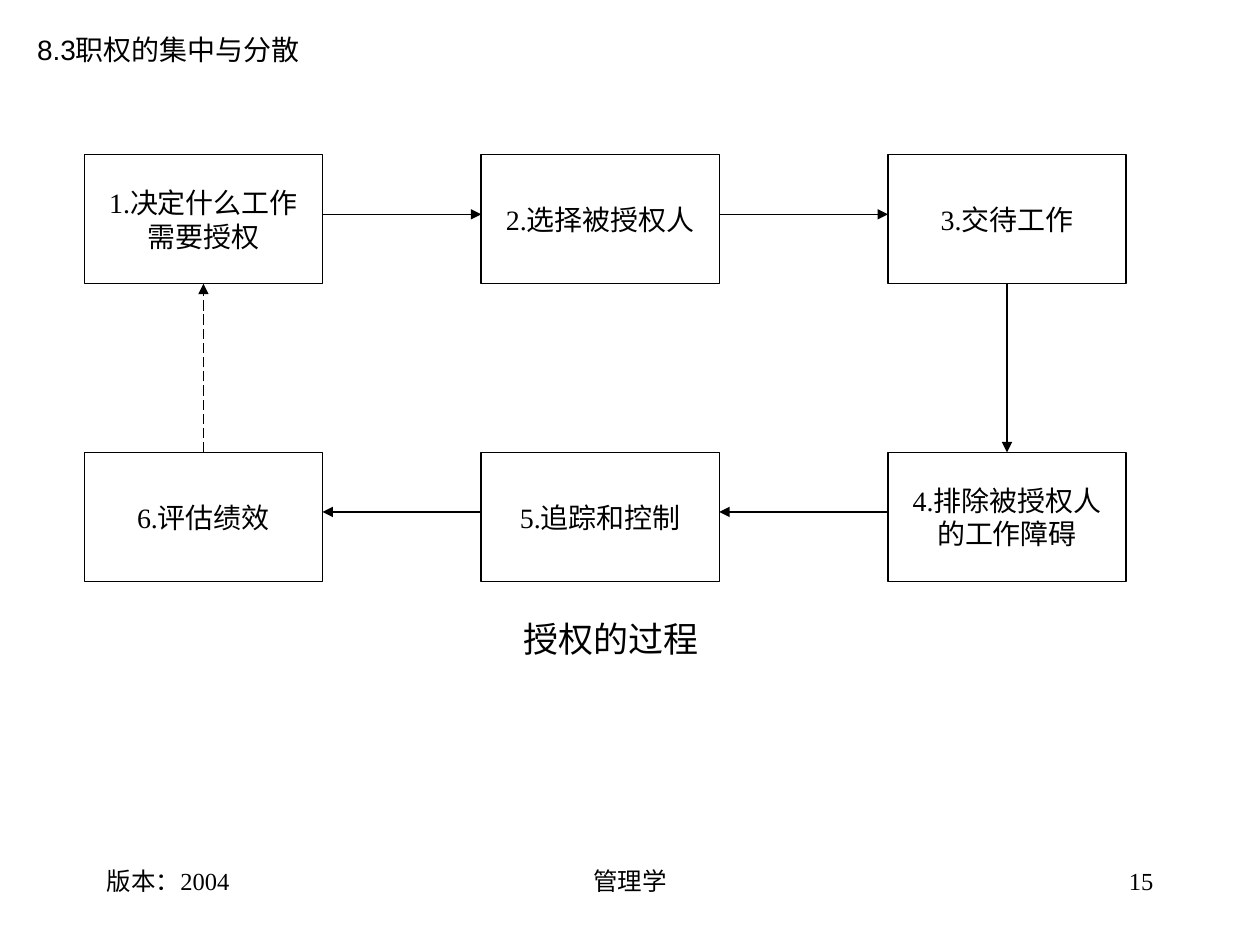
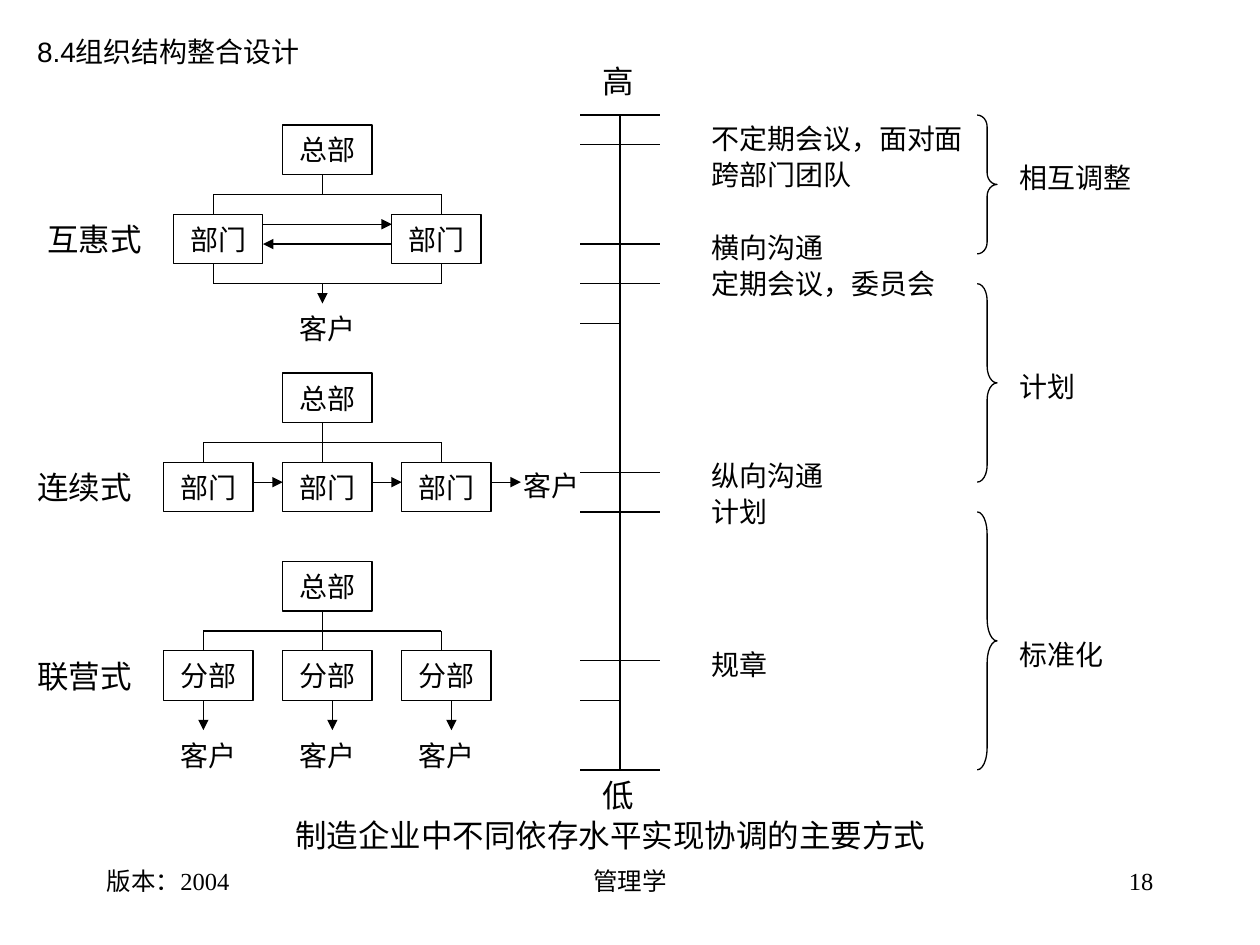
"""Build two management-course slides: the delegation process and coordination by level of dependence."""
from itertools import pairwise

from lxml.etree import SubElement
from pptx import Presentation
from pptx.dml.color import RGBColor
from pptx.enum.dml import MSO_LINE
from pptx.enum.shapes import MSO_CONNECTOR, MSO_SHAPE
from pptx.enum.text import MSO_ANCHOR, PP_ALIGN
from pptx.oxml.ns import qn
from pptx.util import Inches, Pt

COLORS = {name: RGBColor.from_string(code) for name, code in {"ink": "000000", "paper": "FFFFFF"}.items()}
SANS, SERIF = "Arial", "Times New Roman"
LEFT, CENTER, RIGHT = PP_ALIGN.LEFT, PP_ALIGN.CENTER, PP_ALIGN.RIGHT

deck = Presentation()
deck.slide_width, deck.slide_height = Inches(10), Inches(7.5)
UNIT = deck.slide_width / 127
ORIGIN_X, ORIGIN_Y = 0.5, 0.6


def add_box(page, at, lines=(), size=16, font=SANS, align=LEFT, kind=None, fill=None, edge="ink"):
    """Place text, or a preset shape with centred text, at (column, row, width, height)."""
    column, row, width, height = at
    area = [int(UNIT * n) for n in (column + ORIGIN_X, row + ORIGIN_Y, width, height)]
    if kind is None:
        box = page.shapes.add_textbox(*area)
    else:
        box = page.shapes.add_shape(kind, *area)
        box.shadow.inherit = False
        box.line.color.rgb = COLORS[edge]
        box.line.width = Pt(0.75)
        if fill:
            box.fill.solid()
            box.fill.fore_color.rgb = COLORS[fill]
        else:
            box.fill.background()
    frame = box.text_frame
    frame.word_wrap = kind is None
    frame.vertical_anchor = MSO_ANCHOR.TOP if kind is None else MSO_ANCHOR.MIDDLE
    for index, line in enumerate(lines):
        para = frame.add_paragraph() if index else frame.paragraphs[0]
        para.alignment = align if kind is None else CENTER
        if index and kind is None:
            para.space_before = Pt(1.6)
        span = para.add_run()
        span.text = line
        for name, value in {"size": Pt(size), "name": font}.items():
            setattr(span.font, name, value)
        span.font.color.rgb = COLORS["ink"]
    return box


def add_line(page, x1, y1, x2, y2, arrow=False, dash=None):
    """Draw a straight line between two grid points."""
    ends = [int(UNIT * n) for n in (x1 + ORIGIN_X, y1 + ORIGIN_Y, x2 + ORIGIN_X, y2 + ORIGIN_Y)]
    connector = page.shapes.add_connector(MSO_CONNECTOR.STRAIGHT, *ends)
    connector.line.color.rgb = COLORS["ink"]
    for name, value in {"width": Pt(0.75), "dash_style": dash}.items():
        setattr(connector.line, name, value)
    properties = connector._element.spPr
    if arrow:
        SubElement(properties.find(qn("a:ln")), qn("a:tailEnd"), type="triangle")
    SubElement(properties, qn("a:effectLst"))


pages = []
for title, title_row, number in (("8.3职权的集中与分散", 2.1, "15"), ("8.4组织结构整合设计", 2.3, "18")):
    page = deck.slides.add_slide(deck.slide_layouts[6])
    pages.append(page)
    add_box(page, (2, title_row, 29, 4.7), [title])
    for column, width, text, align in ((9, 26.5, "版本：2004", LEFT), (43, 40, "管理学", CENTER), (90.5, 26.5, number, RIGHT)):
        add_box(page, (column, 86.1, width, 6.4), [text], 14, SERIF, align)
process, coordination = pages

STEP_COLUMNS, STEP_ROWS = (8, 48, 89), (15, 45)
STEP_WIDTH, STEP_HEIGHT = 24, 13
steps = (
    ("1.决定什么工作", "需要授权"), ("2.选择被授权人",), ("3.交待工作",),
    ("4.排除被授权人", "的工作障碍"), ("5.追踪和控制",), ("6.评估绩效",),
)
spots = [(c, STEP_ROWS[0]) for c in STEP_COLUMNS] + [(c, STEP_ROWS[1]) for c in reversed(STEP_COLUMNS)]
for (column, row), lines in zip(spots, steps):
    add_box(process, (column, row, STEP_WIDTH, STEP_HEIGHT), lines, 16, SERIF, kind=MSO_SHAPE.RECTANGLE, fill="paper")
top, bottom = STEP_ROWS
for before, after in pairwise(STEP_COLUMNS):
    add_line(process, before + STEP_WIDTH, top + 6, after, top + 6, arrow=True)
    add_line(process, after, bottom + 6, before + STEP_WIDTH, bottom + 6, arrow=True)
first_middle, last_middle = (STEP_COLUMNS[i] + STEP_WIDTH / 2 for i in (0, -1))
add_line(process, last_middle, top + STEP_HEIGHT, last_middle, bottom, arrow=True)
add_line(process, first_middle, bottom, first_middle, top + STEP_HEIGHT, arrow=True, dash=MSO_LINE.LONG_DASH)
add_box(process, (51, 61, 21, 5.5), ["授权的过程"], 20, SERIF)

UNIT_WIDTH, UNIT_HEIGHT, HEAD_COLUMN, TRUNK = 9, 5, 28, 32
THREE = (16, 28, 40)
models = (
    ("互惠式", 3, 12, "部门", (17, 39), (21, 44), [(28, 30)]),
    ("连续式", 2, 37, "部门", THREE, (20, 32, 44), []),
    ("联营式", 2, 56, "分部", THREE, (20, 32, 44), [(column, 73) for column in THREE]),
)
for label, label_column, row, unit_name, columns, branches, clients in models:
    unit_row, bar_row = row + 9, row + 7
    add_box(coordination, (label_column, unit_row, 13, 5), [label], 18)
    units = [(HEAD_COLUMN, row, "总部", "ink")]
    units += [(column, unit_row, unit_name, "ink") for column in columns]
    units += [(column, client_row, "客户", "paper") for column, client_row in clients]
    for column, unit_top, name, edge in units:
        add_box(coordination, (column, unit_top, UNIT_WIDTH, UNIT_HEIGHT), [name],
                kind=MSO_SHAPE.RECTANGLE, fill="paper", edge=edge)
    add_line(coordination, TRUNK, row + UNIT_HEIGHT, TRUNK, bar_row)
    add_line(coordination, branches[0], bar_row, branches[-1], bar_row)
    for branch in branches:
        add_line(coordination, branch, bar_row, branch, unit_row)

for branch in (21, 44):
    add_line(coordination, branch, 26, branch, 28)
add_line(coordination, 21, 28, 44, 28)
arrows = [(TRUNK, 28, TRUNK, 30), (26, 22, 39, 22), (39, 24, 26, 24)]
arrows += [(column + UNIT_WIDTH, 48, column + 12, 48) for column in THREE]
arrows += [(column, 70, column, 73) for column in (20, 33, 45)]
for ends in arrows:
    add_line(coordination, *ends, arrow=True)
add_box(coordination, (51, 46, 9, 4.7), ["客户"])

AXIS, TICK = 62, 4
add_line(coordination, AXIS, 11, AXIS, 77)
for row in (11, 14, 24, 28, 32, 47, 51, 66, 70, 77):
    add_line(coordination, AXIS - TICK, row, AXIS if row in (32, 70) else AXIS + TICK, row)
for row, text in ((5, "高"), (77, "低")):
    add_box(coordination, (59, row, 6, 5), [text], 18)

means = (
    (11, 32, ("不定期会议，面对面", "跨部门团队")),
    (22, 31, ("横向沟通", "定期会议，委员会")),
    (45, 22, ("纵向沟通", "计划")),
    (64, 10, ("规章",)),
)
for row, width, lines in means:
    add_box(coordination, (70, row, width, 4.2 * len(lines)), lines)

for row, height, label_row, label in ((11, 14, 15, "相互调整"), (28, 20, 36, "计划"), (51, 26, 63, "标准化")):
    brace = add_box(coordination, (98, row, 2, height), kind=MSO_SHAPE.RIGHT_BRACE)
    brace.adjustments[0] = height * 0.042
    add_box(coordination, (101, label_row, 15, 4.7), [label])
add_box(coordination, (28, 81, 67, 5), ["制造企业中不同依存水平实现协调的主要方式"], 18)

deck.save("out.pptx")
